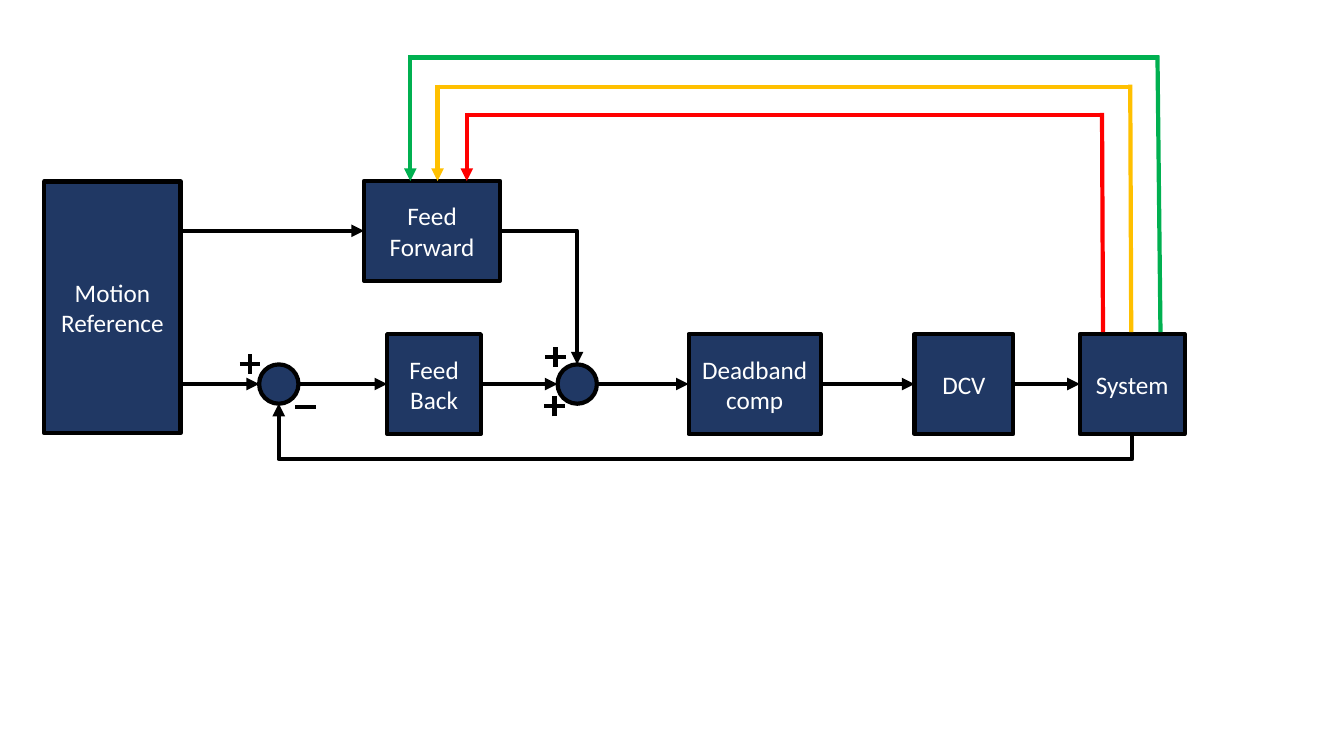
from dataclasses import dataclass
from itertools import pairwise
from lxml.etree import SubElement
from pptx import Presentation
from pptx.dml.color import RGBColor
from pptx.enum.shapes import MSO_CONNECTOR, MSO_SHAPE
from pptx.enum.text import MSO_ANCHOR, PP_ALIGN
from pptx.oxml.ns import qn
from pptx.util import Inches, Pt

NAVY, BLACK, WHITE = "203864", "000000", "FFFFFF"
AXIS, UPPER = 32.6, 17.4
TALL, ROUND = 9.9, 3.9


@dataclass
class Grid:
    """Box cut into square cells, with its corner in inches."""
    left: float
    top: float
    cell: float

    def x(self, col):
        """Return the place of a column."""
        return Inches(self.left + col * self.cell)

    def y(self, row):
        """Return the place of a row."""
        return Inches(self.top + row * self.cell)

    def size(self, count):
        """Return the length of some cells."""
        return Inches(count * self.cell)


def paint(target, color):
    """Give a fill or a font one solid colour."""
    if hasattr(target, "solid"):
        target.solid()
        target.fore_color.rgb = RGBColor.from_string(color)
    else:
        target.color.rgb = RGBColor.from_string(color)


def block(slide, grid, kind, left, mid, wide, tall, lines=()):
    """Place a filled shape centred on a row, one paragraph a line."""
    shape = slide.shapes.add_shape(kind, grid.x(left), grid.y(mid - tall / 2),
                                   grid.size(wide), grid.size(tall))
    shape.shadow.inherit = False
    paint(shape.fill, NAVY)
    paint(shape.line.fill, BLACK)
    shape.line.width = Pt(3)
    frame = shape.text_frame
    frame.word_wrap = True
    frame.vertical_anchor = MSO_ANCHOR.MIDDLE
    for spot, line in enumerate(lines):
        para = frame.add_paragraph() if spot else frame.paragraphs[0]
        para.alignment = PP_ALIGN.CENTER
        run = para.add_run()
        run.text = line
        run.font.name, run.font.size = "Calibri", Pt(18)
        paint(run.font, WHITE)
    return shape


def wire(slide, grid, start, stop, color=BLACK, arrow=True,
         kind=MSO_CONNECTOR.STRAIGHT):
    """Draw a connector between two grid points."""
    link = slide.shapes.add_connector(kind, grid.x(start[0]), grid.y(start[1]),
                                      grid.x(stop[0]), grid.y(stop[1]))
    paint(link.line.fill, color)
    link.line.width = Pt(3)
    if arrow:
        SubElement(link.line._get_or_add_ln(), qn("a:tailEnd"), type="triangle")
    SubElement(link._element.spPr, qn("a:effectLst"))
    return link


def chain(slide, grid):
    """Place the blocks and join them along the main axis."""
    rect, oval = MSO_SHAPE.RECTANGLE, MSO_SHAPE.OVAL
    ahead = block(slide, grid, rect, 31.7, UPPER, 13.5, TALL, ["Feed Forward"])
    block(slide, grid, rect, 0, 25, 13.5, 25, ["Motion", "Reference"])
    link = wire(slide, grid, (13.5, UPPER), (31.7, UPPER))
    link.end_connect(ahead, 1)
    parts = [
        (oval, 21.3, ROUND, ROUND, []),
        (rect, 34, 9.3, TALL, ["Feed", "Back"]),
        (oval, 50.9, ROUND, ROUND, []),
        (rect, 63.9, 13.1, TALL, ["Deadband comp"]),
        (rect, 86.3, 9.8, TALL, ["DCV"]),
        (rect, 102.7, 10.4, TALL, ["System"]),
    ]
    row = [(kind, left, left + wide,
            block(slide, grid, kind, left, AXIS, wide, tall, lines))
           for kind, left, wide, tall, lines in parts]
    wire(slide, grid, (13.5, AXIS), (21.3, AXIS))
    for (kind, _, right, shape), (goal, left, _, after) in pairwise(row):
        link = wire(slide, grid, (right, AXIS), (left, AXIS))
        if kind == rect:
            link.begin_connect(shape, 3)
        if goal == rect:
            link.end_connect(after, 1)


def bends(slide, grid):
    """Draw the elbow into the sum and the feedback under the row."""
    elbow = MSO_CONNECTOR.ELBOW
    down = wire(slide, grid, (45.2, UPPER), (52.85, AXIS - ROUND / 2), kind=elbow)
    down._element.spPr.find(qn("a:prstGeom")).set("prst", "bentConnector2")

    first, last = (107.9, AXIS + TALL / 2), (23.25, AXIS + ROUND / 2)
    mid_x, mid_y = (first[0] + last[0]) / 2, (first[1] + last[1]) / 2
    half_x, half_y = (first[1] - last[1]) / 2, (first[0] - last[0]) / 2
    back = wire(slide, grid, (mid_x + half_x, mid_y - half_y),
                (mid_x - half_x, mid_y + half_y), kind=elbow)
    back._element.spPr.find(qn("a:xfrm")).set("rot", "5400000")
    geom = back._element.spPr.find(qn("a:prstGeom"))
    guides = geom.find(qn("a:avLst"))
    if guides is None:
        guides = SubElement(geom, qn("a:avLst"))
    dip = round(-2.5 / (2 * half_x) * 100000)
    SubElement(guides, qn("a:gd"), name="adj1", fmla=f"val {dip}")


def signs(slide, grid):
    """Draw the plus and minus marks by the sums."""
    marks = [(50.7, 29.9, True), (50.6, 34.8, True),
             (20.4, 30.6, True), (25.9, 34.9, False)]
    for col, row, plus in marks:
        wire(slide, grid, (col - 1, row), (col + 1, row), arrow=False)
        if plus:
            wire(slide, grid, (col, row + 1), (col, row - 1), arrow=False)


def loops(slide, grid):
    """Draw the coloured state lines from System to Feed Forward."""
    base, goal, lap = AXIS - TALL / 2 - 0.2, UPPER - TALL / 2, 0.2
    states = [("00B050", 110.7, 110.4, 0.2, 36.3),
              ("FFC000", 107.8, 107.7, 3.1, 39),
              ("FF0000", 105, 104.9, 5.9, 41.9)]
    for color, foot, head, row, drop in states:
        wire(slide, grid, (foot, base), (head, row - lap), color, False)
        wire(slide, grid, (head + lap, row), (drop, row), color, False)
        wire(slide, grid, (drop, row - lap), (drop, goal), color)


def main():
    """Build the control diagram slide."""
    deck = Presentation()
    deck.slide_width, deck.slide_height = Inches(13.33), Inches(7.5)
    slide = deck.slides.add_slide(deck.slide_layouts[6])
    grid = Grid(0.44, 0.55, 0.1)
    for draw in (chain, bends, signs, loops):
        draw(slide, grid)
    deck.save("out.pptx")


if __name__ == "__main__":
    main()
